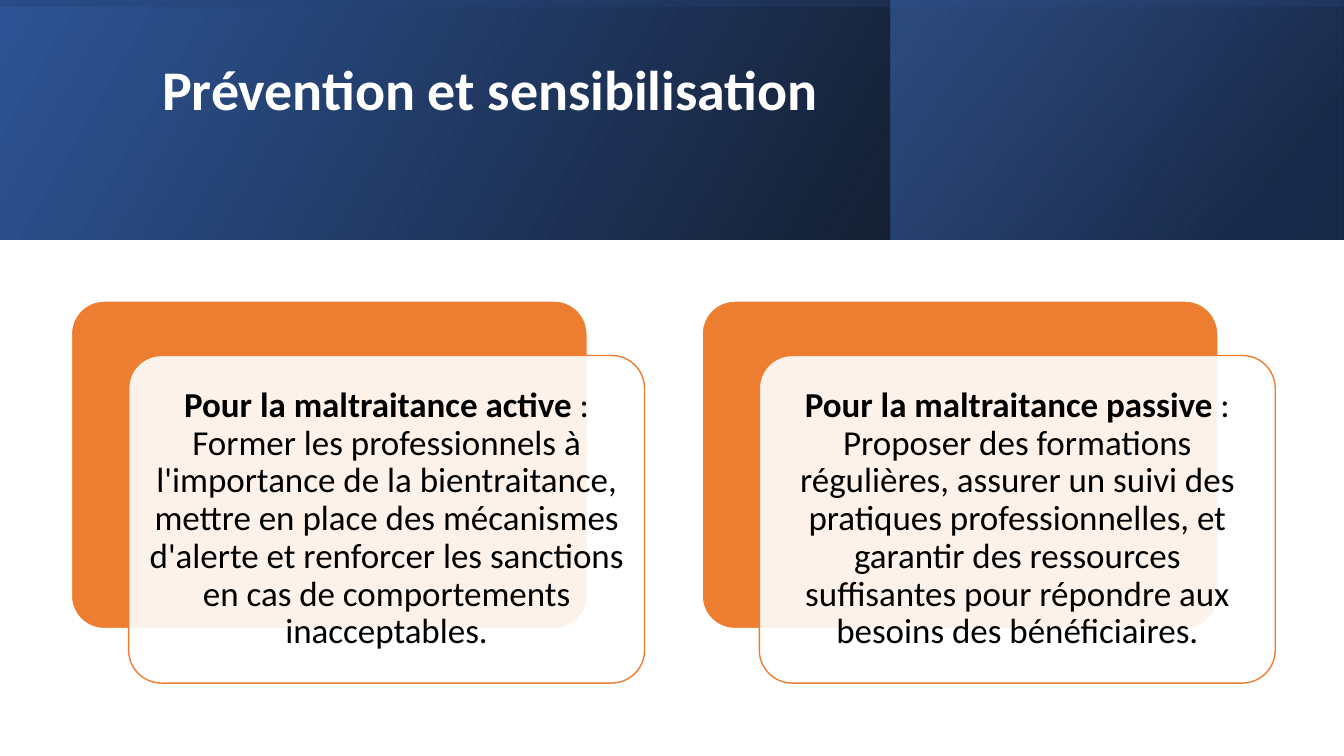
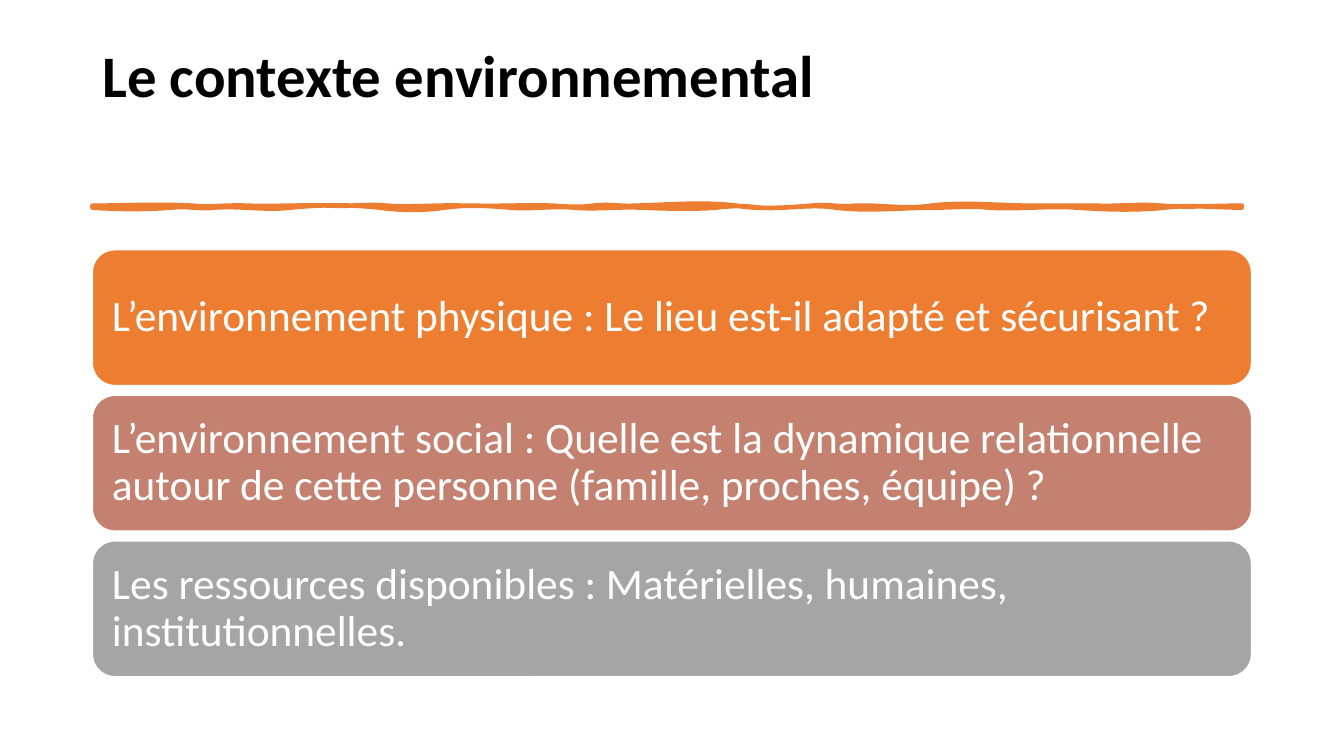
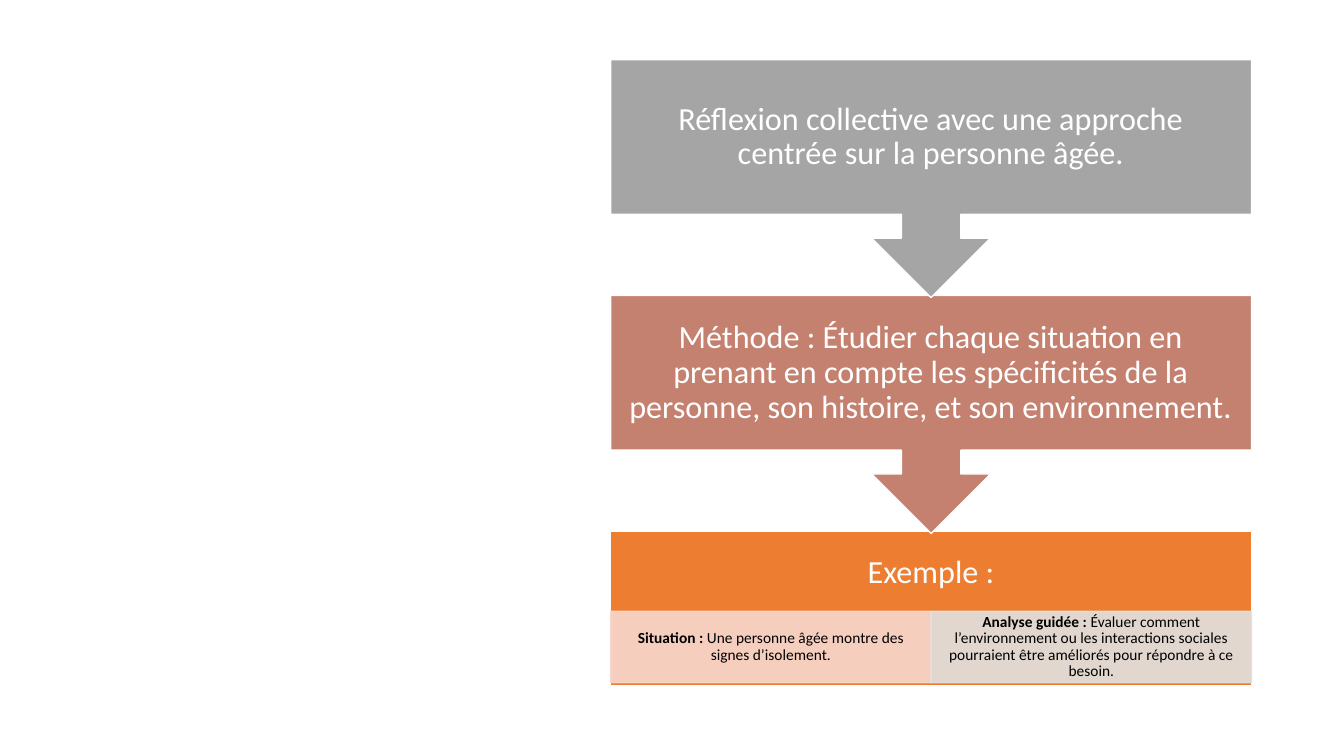
from lxml.etree import SubElement
from pptx import Presentation
from pptx.dml.color import RGBColor
from pptx.enum.shapes import MSO_SHAPE
from pptx.enum.text import MSO_ANCHOR, PP_ALIGN
from pptx.oxml.ns import qn
from pptx.util import Pt

W, H, BAND_H = 960, 540, 171
FONT = "Calibri"
WHITE, BLACK, ORANGE, ROSE, GREY = "FFFFFF", "000000", "ED7D31", "C48170", "A5A5A5"
NAVY = "2F5597"

BANDS = [
    dict(box=(0, 0, W, BAND_H), rotation=0, angle=330,
         stops=[(0, BLACK, 96), (1, NAVY, 100)]),
    dict(box=(636.5, 0, 323, BAND_H), rotation=0, angle=320,
         stops=[(0.19, "203864", 68), (1, "4472C4", 48)]),
    dict(box=((W - BAND_H) / 2, (BAND_H - W) / 2, BAND_H, W), rotation=270, angle=350,
         stops=[(0.23, NAVY, 16), (0.99, BLACK, 45)]),
]
PREVENTION = [
    ("Pour la maltraitance active",
     " : Former les professionnels à l'importance de la bientraitance, mettre en place des "
     "mécanismes d'alerte et renforcer les sanctions en cas de comportements inacceptables."),
    ("Pour la maltraitance passive",
     " : Proposer des formations régulières, assurer un suivi des pratiques professionnelles, "
     "et garantir des ressources suffisantes pour répondre aux besoins des bénéficiaires."),
]
CONTEXT = [
    ("L’environnement physique : Le lieu est-il adapté et sécurisant ?", ORANGE),
    ("L’environnement social : Quelle est la dynamique relationnelle autour de cette personne "
     "(famille, proches, équipe) ?", ROSE),
    ("Les ressources disponibles : Matérielles, humaines, institutionnelles.", GREY),
]
STEPS = [
    ("Réflexion collective avec une approche centrée sur la personne âgée.", GREY),
    ("Méthode : Étudier chaque situation en prenant en compte les spécificités de la personne, "
     "son histoire, et son environnement.", ROSE),
]
EXAMPLE = "Exemple :"
EXAMPLE_CELLS = [
    ("Situation :", " Une personne âgée montre des signes d’isolement.", "F8D7CE"),
    ("Analyse guidée :", " Évaluer comment l’environnement ou les interactions sociales "
     "pourraient être améliorés pour répondre à ce besoin.", "E1E1E1"),
]
BRUSH_TOP = [
    (137, 0, -1.4), (176, 1.4, -0.7), (238, 0.7, -0.7), (276, 0.7, -1.4),
    (331, 1.4, -0.7), (395, 0.7, -0.7), (424, 0.7, 1.4), (454, -1.4, 0.7),
    (526, -0.7, -2.9), (580, 2.9, 1.4), (611, -1.4, 1.4), (665, -0.7, 2.9),
    (737, -2.9, 0), (783, 0, 0), (829, 0.7, -1.4), (887, 1.4, 0),
]
BRUSH_BOTTOM = [
    (887, 0, 0), (832, 0, -2.2), (769, 2.2, 1.4), (706, -1.4, 1.4), (668, -1.4, 0),
    (597, 0, 2.9), (542, -2.9, 1.4), (512, -1.4, -1.4), (457, 1.4, 0.7),
    (410, -0.7, 1.4), (364, -1.4, 1.4), (318, -1.4, -2.2), (271, 2.2, 2.2),
    (208, -2.2, -2.2), (153, 2.2, -1.4), (123, 1.4, -1.4), (66, 1.4, 1.4),
]


def rgb(color):
    return RGBColor.from_string(color)


def set_opacity(sp, *percents):
    colors = list(sp._element.spPr.iter(qn("a:srgbClr")))
    for clr, percent in zip(colors, percents):
        SubElement(clr, qn("a:alpha"), val=str(percent * 1000))


def paint(sp, fill, line, width=1):
    sp.shadow.inherit = False
    sp.fill.solid()
    sp.fill.fore_color.rgb = rgb(fill)
    sp.line.color.rgb = rgb(line)
    sp.line.width = Pt(width)


def add_box(s, kind, box, fill, line=WHITE):
    sp = s.shapes.add_shape(kind, *map(Pt, box))
    paint(sp, fill, line)
    return sp


def write(sp, runs, size, color=WHITE, align=PP_ALIGN.CENTER, insets=(7.2,) * 4):
    tf = sp.text_frame
    sides = ("margin_left", "margin_top", "margin_right", "margin_bottom")
    frame = dict(zip(sides, map(Pt, insets)), word_wrap=True,
                 vertical_anchor=MSO_ANCHOR.MIDDLE)
    p = tf.paragraphs[0]
    for target, values in ((tf, frame), (p, dict(alignment=align, line_spacing=0.9))):
        for name, value in values.items():
            setattr(target, name, value)
    for text, bold in runs:
        r = p.add_run()
        r.text = text
        for name, value in dict(name=FONT, size=Pt(size), bold=bold).items():
            setattr(r.font, name, value)
        r.font.color.rgb = rgb(color)


def add_title(s, text, box, size, color):
    sp = s.shapes.add_textbox(*map(Pt, box))
    write(sp, [(text, True)], size, color, PP_ALIGN.LEFT, (7.2, 3.6, 7.2, size * 1.26))


def add_band(s, box, rotation, angle, stops):
    sp = s.shapes.add_shape(MSO_SHAPE.RECTANGLE, *map(Pt, box))
    sp.shadow.inherit = False
    sp.line.fill.background()
    sp.rotation = rotation
    sp._element.spPr.find(qn("a:xfrm")).set("flipH", "1")
    sp.fill.gradient()
    sp.fill.gradient_angle = 360 - angle
    for stop, (position, color, _) in zip(sp.fill.gradient_stops, stops):
        stop.position = position
        stop.color.rgb = rgb(color)
    set_opacity(sp, *(opacity for _, _, opacity in stops))


def add_brush_line(s, left=66, top=146.9, bottom=148.3):
    curves = [(x, y, b1, b2) for y, edge in ((top, BRUSH_TOP), (bottom, BRUSH_BOTTOM))
              for x, b1, b2 in edge]
    outline = s.shapes.build_freeform(Pt(left), Pt(top))
    outline.add_line_segments([(Pt(x), Pt(y)) for x, y, _, _ in curves])
    sp = outline.convert_to_shape()
    paint(sp, ORANGE, ORANGE, 3.25)
    x0, y0 = left, top
    for segment, (x, y, b1, b2) in zip(list(sp._element.iter(qn("a:lnTo"))), curves):
        curve = segment.makeelement(qn("a:cubicBezTo"))
        controls = ((x0 + (x - x0) / 3, y0 + b1), (x0 + (x - x0) * 2 / 3, y + b2), (x, y))
        for px, py in controls:
            SubElement(curve, qn("a:pt"), x=str(int(Pt(px) - sp.left)),
                       y=str(int(Pt(py) - sp.top)))
        segment.getparent().replace(segment, curve)
        x0, y0 = x, y


def build_prevention(s):
    for band in BANDS:
        add_band(s, **band)
    add_title(s, "Prévention et sensibilisation", (108.7, 27.4, 765.4, 123.8), 40, WHITE)
    left, top, width, height, pitch = 51, 215, 368.5, 234, 450.5
    for i, (heading, body) in enumerate(PREVENTION):
        x = left + i * pitch
        back = add_box(s, MSO_SHAPE.ROUNDED_RECTANGLE, (x, top, width, height), ORANGE)
        front = add_box(s, MSO_SHAPE.ROUNDED_RECTANGLE,
                        (x + 40.9, top + 38.9, width, height), WHITE, ORANGE)
        for card in (back, front):
            card.adjustments[0] = 0.1
        set_opacity(front, 90)
        write(front, [(heading, True), (body, False)], 25, BLACK)


def build_context(s):
    add_title(s, "Le contexte environnemental", (66, 28.8, 828, 104.4), 42, BLACK)
    add_brush_line(s)
    for i, (text, color) in enumerate(CONTEXT):
        sp = add_box(s, MSO_SHAPE.ROUNDED_RECTANGLE, (66, 178.4 + i * 104, 828, 97), color)
        write(sp, [(text, False)], 31, align=PP_ALIGN.LEFT, insets=(9.3,) * 4)


def build_method(s):
    left, top, width, pitch, pad = 436.2, 42.6, 457.8, 168.5, 13
    example_top = top + len(STEPS) * pitch
    sp = add_box(s, MSO_SHAPE.RECTANGLE, (left, example_top, width, 110), ORANGE)
    write(sp, [(EXAMPLE, False)], 23, insets=(pad, pad, pad, pad + 50.5))
    cell_w = width / len(EXAMPLE_CELLS)
    for i, (heading, body, color) in enumerate(EXAMPLE_CELLS):
        cell = add_box(s, MSO_SHAPE.RECTANGLE,
                       (left + i * cell_w, example_top + 57, cell_w, 51), color, color)
        set_opacity(cell, 90, 90)
        write(cell, [(heading, True), (body, False)], 11, BLACK, insets=(6.5, 1.4, 6.5, 1.4))
    for i, (text, color) in reversed(list(enumerate(STEPS))):
        sp = add_box(s, MSO_SHAPE.DOWN_ARROW_CALLOUT,
                     (left, top + i * pitch, width, 170), color)
        write(sp, [(text, False)], 23, insets=(pad,) * 4)


def main():
    prs = Presentation()
    prs.slide_width, prs.slide_height = Pt(W), Pt(H)
    for build in (build_prevention, build_context, build_method):
        build(prs.slides.add_slide(prs.slide_layouts[6]))
    prs.save("out.pptx")


if __name__ == "__main__":
    main()
